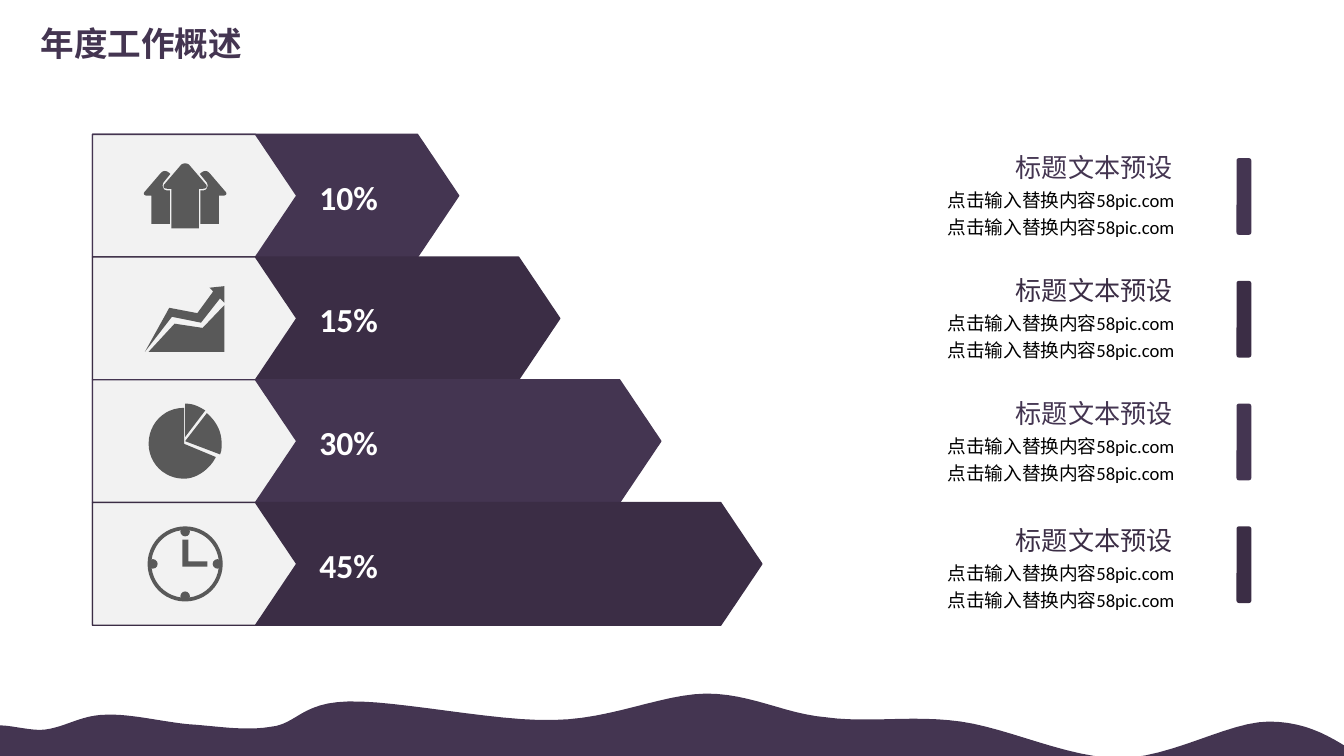
from pptx import Presentation
from pptx import util as u
from pptx.dml.color import RGBColor
from pptx.enum import shapes, text

PURPLE, DARK, PALE, GREY = "443551", "3B2D45", "F2F2F2", "595959"
FONT = "Calibri"
LEFT, TOP, PITCH, NOTCH = 1.75, 2.54, 2.32, 0.78
PRESET = shapes.MSO_SHAPE

# Share and caption top (cm) of each row
ROWS = [("10%", 2.84), ("15%", 5.17), ("30%", 7.49), ("45%", 9.89)]

# Outlines: pairs are line ends, sixes are Bézier curves. The wave is in cm.
WAVE = [
    (25.7, 14.28),
    (25.22, 13.97, 24.74, 13.64, 23.98, 13.64),
    (23.22, 13.64, 22.12, 14.33, 21.16, 14.33),
    (20.19, 14.33, 19.08, 13.77, 18.16, 13.64),
    (17.25, 13.51, 16.43, 13.67, 15.62, 13.56),
    (14.81, 13.49, 14.2, 13.11, 13.34, 13.11),
    (12.47, 13.13, 11.58, 13.59, 10.46, 13.61),
    (9.35, 13.64, 7.49, 13.23, 6.58, 13.26),
    (5.69, 13.28, 5.61, 13.69, 5.11, 13.74),
    (4.6, 13.82, 4.06, 13.72, 3.56, 13.69),
    (3.05, 13.64, 2.46, 13.49, 2.01, 13.51),
    (1.55, 13.51, 1.24, 13.74, 0.86, 13.79),
    (0.51, 13.84, -0.1, 13.59, -0.23, 13.79),
    (-0.33, 14, -1.6, 14.73, 0.18, 14.99),
    (1.93, 15.24, 10.39, 15.27, 10.39, 15.27),
    (18.82, 15.14),
    (20.73, 15.16, 20.6, 15.54, 21.79, 15.44),
    (23.01, 15.34, 25.48, 14.78, 26.06, 14.55),
    (26.67, 14.35, 25.4, 14.1, 25.4, 14.1),
]

# Icon parts, in mm from the icon centre
MIDDLE_ARROW = [
    (2.6, 6.2), (2.6, -1.3), (3.3, -1.3), (4.1, -1.3, 4.3, -1.8, 3.8, -2.3),
    (0.8, -5.8), (0.4, -6.2, -0.4, -6.2, -0.8, -5.8), (-3.8, -2.3),
    (-4.3, -1.8, -4.1, -1.3, -3.3, -1.3), (-2.6, -1.3), (-2.6, 6.2),
]
SIDE_ARROW = [
    (7.6, -0.8), (4.6, -4.3), (4.1, -4.8, 3.6, -4.8, 3, -4.3), (2.8, -4.1),
    (4.1, -2.5), (4.3, -2, 4.3, -1.8, 4.1, -1.5), (4.1, -1.5, 4.1, -1, 3.3, -1),
    (2.9, -1), (2.9, 5.3), (6.4, 5.3), (6.4, 0), (7.1, 0),
    (7.6, 0, 8.1, -0.3, 7.6, -0.8),
]
AREA = [(-6.9, 6.3), (-2, 1), (3.3, 1.8), (7.4, -2.5), (7.4, 6.3)]
TREND = [(7.4, -3), (7.4, -6.1), (4.6, -5.8), (5.3, -5.1), (2.3, -1), (-3, -2),
         (-7.6, 6.3), (-2.5, -0.3), (3, 0.8), (6.6, -3.8)]
PIE_BODY = [
    (-0.2, 0.5), (-0.2, -6.3), (-4, -6.3, -6.9, -3.3, -6.9, 0.5),
    (-6.9, 4.1, -4, 7.1, -0.2, 7.1), (2.3, 7.1, 4.8, 5.1, 5.8, 3),
]
PIE_RIGHT = [(4.1, -5.3), (0, 0), (6.6, 2.5), (6.9, 1.8, 6.9, 1.3, 6.9, 0.5),
             (6.9, -2, 5.8, -3.8, 4.1, -5.3)]
PIE_TOP = [(0, -7.1), (0, -0.8), (3.8, -5.8), (2.5, -6.6, 1.5, -7.1, 0, -7.1)]
HANDS = [(0.6, -0.5), (0.6, -4.6), (-0.5, -4.6), (-0.5, 0.5), (4.2, 0.5), (4.2, -0.5)]


def color(value):
    return RGBColor.from_string(value)


def paint(shape, fill, line=None):
    shape.shadow.inherit = False
    shape.fill.solid()
    shape.fill.fore_color.rgb = color(fill)
    if line:
        shape.line.color.rgb = color(line)
        shape.line.width = u.Pt(0.75)
    else:
        shape.line.fill.background()


def add_preset(slide, kind, box, fill, line=None, adjust=None):
    shape = slide.shapes.add_shape(kind, *map(u.Cm, box))
    paint(shape, fill, line)
    if adjust is not None:
        shape.adjustments[0] = adjust


def flatten(outline, steps=12):
    """Turn an outline with curves into a list of points."""
    points = []
    for x1, y1, *rest in outline:
        if not rest:
            points.append((x1, y1))
            continue
        x0, y0 = points[-1]
        x2, y2, x3, y3 = rest
        for step in range(1, steps + 1):
            t = step / steps
            a, b, c, d = (1 - t) ** 3, 3 * t * (1 - t) ** 2, 3 * t * t * (1 - t), t ** 3
            points.append((a * x0 + b * x1 + c * x2 + d * x3,
                           a * y0 + b * y1 + c * y2 + d * y3))
    return points


def add_outline(slide, outline, fill, center=(0, 0), unit=1, flip=1):
    points = [(u.Cm(center[0] + flip * unit * x), u.Cm(center[1] + unit * y))
              for x, y in flatten(outline)]
    builder = slide.shapes.build_freeform(*points[0])
    builder.add_line_segments(points[1:])
    paint(builder.convert_to_shape(), fill)


def write(shape, lines, size, fill, align, anchor, bold=False, wrap=False,
          spacing=None, insets=None):
    frame = shape.text_frame
    frame.word_wrap = wrap
    frame.vertical_anchor = anchor
    if insets:
        (frame.margin_left, frame.margin_top,
         frame.margin_right, frame.margin_bottom) = map(u.Cm, insets)
    frame.text = "\n".join(lines)
    for paragraph in frame.paragraphs:
        paragraph.alignment = align
        if spacing:
            paragraph.line_spacing = spacing
        font = paragraph.font
        font.name, font.size, font.bold = FONT, u.Pt(size), bold
        font.color.rgb = color(fill)


def add_text(slide, box, *args, **kwargs):
    write(slide.shapes.add_textbox(*map(u.Cm, box)), *args, **kwargs)


def add_bar(slide, index, share, shade):
    top = TOP + index * PITCH
    for right, fill in ((8.67 + 1.91 * index, shade), (5.61, PALE)):
        add_preset(slide, PRESET.PENTAGON, (LEFT, top, right - LEFT, PITCH),
                   fill, shade, NOTCH / PITCH)
    add_text(slide, (5.61, top + 0.52, 1.96, 1.32), [share], 18, "FFFFFF",
             text.PP_ALIGN.CENTER, text.MSO_ANCHOR.MIDDLE, bold=True)


def add_caption(slide, index, top, shade):
    insets = (0, 0, 1.19, 0)
    add_preset(slide, PRESET.ROUNDED_RECTANGLE,
               (23.37, 2.99 + index * PITCH, 0.28, 1.45), shade)
    add_text(slide, (14.83, top, 8.53, 0.64), ["标题文本预设"], 14, shade,
             text.PP_ALIGN.RIGHT, text.MSO_ANCHOR.MIDDLE, insets=insets)
    add_text(slide, (16.38, top + 0.64, 8.53, 1.17), ["点击输入替换内容58pic.com"] * 2,
             10, "000000", text.PP_ALIGN.CENTER, text.MSO_ANCHOR.TOP,
             wrap=True, spacing=1.2, insets=insets)


def add_icons(slide):
    icons = [
        [(SIDE_ARROW, 1), (SIDE_ARROW, -1), (MIDDLE_ARROW, 1)],
        [(AREA, 1), (TREND, 1)],
        [(PIE_BODY, 1), (PIE_RIGHT, 1), (PIE_TOP, 1)],
        [(HANDS, 1)],
    ]
    x = 3.5
    for index, parts in enumerate(icons):
        y = TOP + (index + 0.5) * PITCH
        for outline, flip in parts:
            add_outline(slide, outline, GREY, (x, y), 0.1, flip)
    # Clock face, around the last centre
    add_preset(slide, PRESET.DONUT, (x - 0.71, y - 0.71, 1.42, 1.42), GREY, adjust=0.05)
    for dx, dy in ((0, -1), (1, 0), (0, 1), (-1, 0)):
        add_preset(slide, PRESET.OVAL,
                   (x + 0.61 * dx - 0.09, y + 0.61 * dy - 0.09, 0.18, 0.18), GREY)


def main():
    deck = Presentation()
    deck.slide_width, deck.slide_height = u.Cm(25.4), u.Cm(14.29)
    slide = deck.slides.add_slide(deck.slide_layouts[5])

    # Background wave and title
    add_outline(slide, WAVE, PURPLE)
    title = slide.shapes.title
    title.left, title.top, title.width, title.height = map(u.Cm, (0.51, 0.3, 4.39, 1.02))
    write(title, ["年度工作概述"], 18, PURPLE, text.PP_ALIGN.LEFT,
          text.MSO_ANCHOR.TOP, bold=True)

    # Stepped bars with their captions
    for index, (share, caption_top) in enumerate(ROWS):
        shade = (PURPLE, DARK)[index % 2]
        add_bar(slide, index, share, shade)
        add_caption(slide, index, caption_top, shade)
    add_icons(slide)
    deck.save("out.pptx")


if __name__ == "__main__":
    main()
